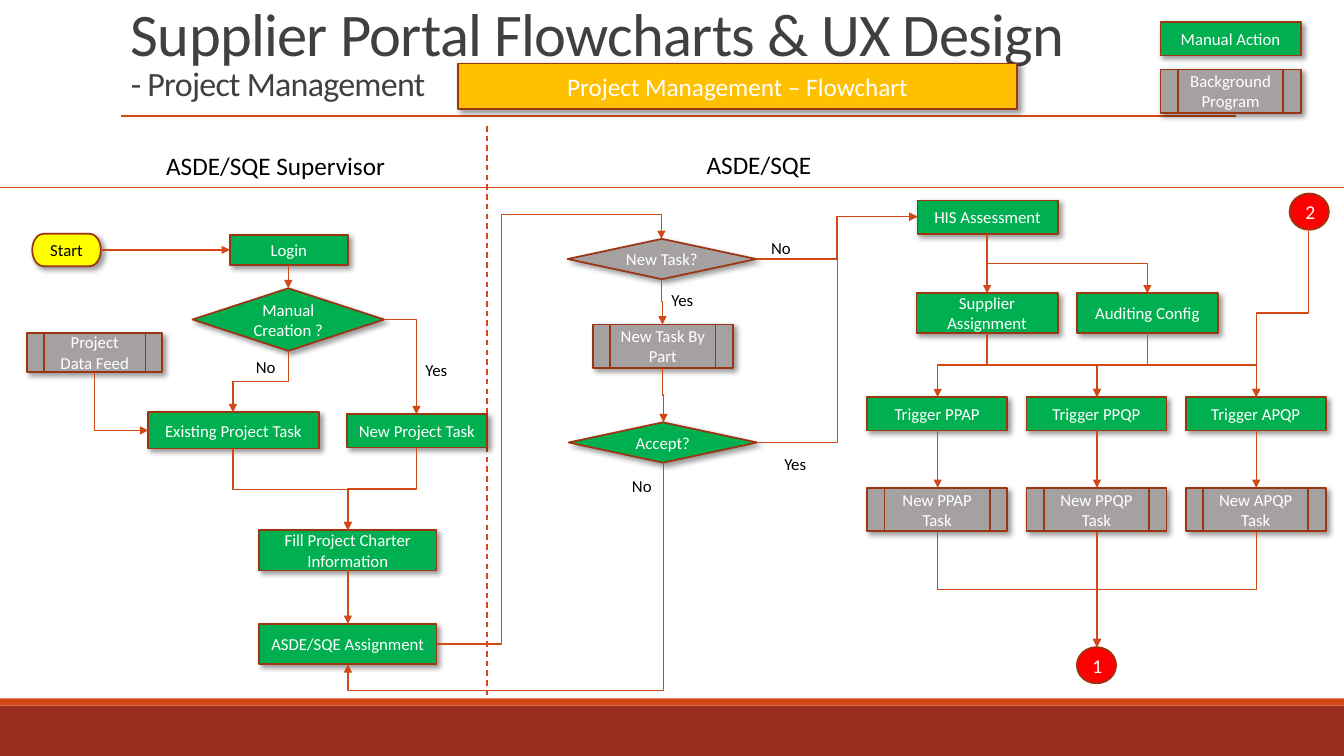
from lxml import etree
from pptx import Presentation
from pptx.dml.color import RGBColor
from pptx.enum.dml import MSO_LINE
from pptx.enum.shapes import MSO_CONNECTOR as LINK, MSO_SHAPE as SHAPE
from pptx.enum.text import MSO_ANCHOR, MSO_AUTO_SIZE, PP_ALIGN
from pptx.oxml.ns import qn
from pptx.util import Inches, Pt

COLORS = {
    "footer": "9B2D1F", "accent": "D34817", "outline": "9C3511",
    "manual": "00B050", "program": "A6A1A1", "banner": "FFC000",
    "start": "FFFF00", "marker": "FF0000", "title": "404040",
    "white": "FFFFFF", "black": "000000",
}
RGB = {name: RGBColor.from_string(value) for name, value in COLORS.items()}
FONT = "Calibri"

prs = Presentation()
prs.slide_width, prs.slide_height = Inches(13.33), Inches(7.5)
s = prs.slides.add_slide(prs.slide_layouts[6])


def add_box(kind, text, x, y, w, h, fill, size=12, color="white", shadow=True):
    sp = s.shapes.add_shape(kind, Inches(x), Inches(y), Inches(w), Inches(h))
    sp.fill.solid()
    sp.fill.fore_color.rgb = RGB[fill]
    sp.line.color.rgb = RGB["outline"]
    sp.line.width = Pt(1.25)
    sp.shadow.inherit = False
    if shadow:
        effects = sp.element.spPr.find(qn("a:effectLst"))
        outer = etree.SubElement(effects, qn("a:outerShdw"), blurRad=str(Pt(4)),
                                 dist=str(Pt(3)), dir="2700000", rotWithShape="0")
        shade = etree.SubElement(outer, qn("a:srgbClr"), val=COLORS["black"])
        etree.SubElement(shade, qn("a:alpha"), val="40000")
    tf = sp.text_frame
    tf.word_wrap = True
    tf.vertical_anchor = MSO_ANCHOR.MIDDLE
    p = tf.paragraphs[0]
    p.text = text
    p.alignment = PP_ALIGN.CENTER
    p.font.name, p.font.size = FONT, Pt(size)
    p.font.color.rgb = RGB[color]


def add_link(x1, y1, x2, y2, kind=LINK.STRAIGHT, down=False, bends=3, adjust=()):
    if down:
        mx, my = (x1 + x2) / 2, (y1 + y2) / 2
        side = 1 if x2 > x1 else -1
        w, h = side * (y2 - y1) / 2, abs(x2 - x1) / 2
        x1, y1, x2, y2 = mx + w, my - h, mx - w, my + h
    c = s.shapes.add_connector(kind, Inches(x1), Inches(y1), Inches(x2), Inches(y2))
    c.line.color.rgb = RGB["accent"]
    c.line.width = Pt(1)
    spPr = c.element.spPr
    if down:
        spPr.find(qn("a:xfrm")).set("rot", "16200000" if side > 0 else "5400000")
    if kind == LINK.ELBOW:
        geom = spPr.find(qn("a:prstGeom"))
        geom.set("prst", f"bentConnector{bends}")
        for i, value in enumerate(adjust, 1):
            etree.SubElement(geom.find(qn("a:avLst")), qn("a:gd"),
                             name=f"adj{i}", fmla=f"val {round(value * 100000)}")
        etree.SubElement(spPr.find(qn("a:ln")), qn("a:tailEnd"), type="triangle")
    etree.SubElement(spPr, qn("a:effectLst"))
    return c


for y, h, fill in [(7, 0.5, "footer"), (6.93, 0.07, "accent")]:
    band = s.shapes.add_shape(SHAPE.RECTANGLE, 0, Inches(y), prs.slide_width, Inches(h))
    band.fill.solid()
    band.fill.fore_color.rgb = RGB[fill]
    band.line.fill.background()
    band.shadow.inherit = False

add_link(1.2, 1.15, 12.26, 1.15)
add_link(0, 1.86, 13.33, 1.86)
add_link(4.83, 1.25, 4.83, 6.95).line.dash_style = MSO_LINE.DASH

title = s.shapes.add_textbox(Inches(1.2), Inches(0.27), Inches(11), Inches(0.81))
tf = title.text_frame
tf.word_wrap = True
tf.vertical_anchor = MSO_ANCHOR.BOTTOM
p = tf.paragraphs[0]
p.line_spacing = 0.85
p.font.name = FONT
p.font.color.rgb = RGB["title"]
for i, (text, size) in enumerate([("Supplier Portal Flowcharts & UX Design", 43.2),
                                  ("- Project Management", 24.3)]):
    if i:
        p.add_line_break()
    r = p.add_run()
    r.text = text
    r.font.size = Pt(size)
    r.font.element.set("spc", "-50") if hasattr(r.font, "element") else r._r.get_or_add_rPr().set("spc", "-50")

add_box(SHAPE.RECTANGLE, "Project Management – Flowchart", 4.54, 0.63, 5.55, 0.45, "banner", 18)
add_box(SHAPE.FLOWCHART_TERMINATOR, "Start", 0.32, 2.32, 0.68, 0.32, "start", color="black")

for text, x, y, w, h in [
    ("Manual Action", 11.51, 0.22, 1.39, 0.33),
    ("Login", 2.28, 2.33, 1.17, 0.3),
    ("New Project Task", 3.44, 4.11, 1.39, 0.33),
    ("Existing Project Task", 1.47, 4.09, 1.69, 0.36),
    ("Fill Project Charter Information", 2.57, 5.26, 1.76, 0.4),
    ("ASDE/SQE Assignment", 2.57, 6.19, 1.76, 0.4),
    ("HIS Assessment", 9.1, 1.99, 1.39, 0.33),
    ("Supplier Assignment", 9.09, 2.91, 1.4, 0.39),
    ("Auditing Config", 10.68, 2.91, 1.4, 0.39),
]:
    add_box(SHAPE.FLOWCHART_PROCESS, text, x, y, w, h, "manual")

for text, x, y, w, h in [
    ("Background Program", 11.51, 0.69, 1.39, 0.43),
    ("Project Data Feed", 0.27, 3.3, 1.34, 0.39),
    ("New Task By Part", 5.88, 3.22, 1.39, 0.43),
]:
    add_box(SHAPE.FLOWCHART_PREDEFINED_PROCESS, text, x, y, w, h, "program")

for text, x, y, w, h, fill in [
    ("Manual Creation ?", 1.91, 2.86, 1.9, 0.62, "manual"),
    ("New Task?", 5.63, 2.37, 1.87, 0.4, "program"),
    ("Accept?", 5.64, 4.19, 1.87, 0.4, "manual"),
]:
    add_box(SHAPE.FLOWCHART_DECISION, text, x, y, w, h, fill)

for text, x, y in [("1", 10.68, 6.42), ("2", 12.79, 1.92)]:
    add_box(SHAPE.OVAL, text, x, y, 0.39, 0.36, "marker", 14, shadow=False)

for i, part in enumerate(["PPAP", "PPQP", "APQP"]):
    x = 8.6 + 1.58 * i
    center = x + 0.7
    add_box(SHAPE.FLOWCHART_PROCESS, f"Trigger {part}", x, 3.94, 1.39, 0.33, "manual")
    add_box(SHAPE.FLOWCHART_PREDEFINED_PROCESS, f"New {part} Task", x, 4.84, 1.39, 0.43, "program")
    for x1, y1, x2, y2 in [(9.79, 3.3, center, 3.94), (center, 4.27, center, 4.84),
                           (center, 5.28, 10.88, 6.42)]:
        add_link(x1, y1, x2, y2, LINK.ELBOW, down=True)

for x1, y1, x2, y2 in [
    (2.86, 2.63, 2.86, 2.86),
    (2.86, 3.48, 2.31, 4.09),
    (4.13, 4.44, 3.45, 5.26),
    (2.31, 4.45, 3.45, 5.26),
    (3.45, 5.66, 3.45, 6.19),
    (6.56, 2.76, 6.57, 3.22),
    (6.57, 3.65, 6.58, 4.19),
    (9.79, 2.32, 9.79, 2.91),
    (9.79, 2.32, 11.38, 2.91),
    (11.38, 3.3, 10.88, 3.94),
    (12.98, 2.27, 12.46, 3.94),
]:
    add_link(x1, y1, x2, y2, LINK.ELBOW, down=True)

for x1, y1, x2, y2 in [(1, 2.48, 2.28, 2.48), (7.5, 2.57, 9.1, 2.15), (7.51, 4.39, 9.1, 2.15)]:
    add_link(x1, y1, x2, y2, LINK.ELBOW)

add_link(0.94, 3.69, 1.47, 4.27, LINK.ELBOW, down=True, bends=2)
add_link(3.81, 3.17, 4.13, 4.11, LINK.ELBOW, bends=2)
add_link(4.33, 6.39, 6.56, 2.37, LINK.ELBOW, bends=4, adjust=(0.29, 1.06))
add_link(6.58, 4.59, 3.45, 6.59, LINK.ELBOW, down=True, adjust=(1.13,))

for text, x, y, w, h, size in [
    ("ASDE/SQE Supervisor", 1.55, 1.44, 2.4, 0.4, 18),
    ("ASDE/SQE", 6.91, 1.43, 1.25, 0.4, 18),
    ("Yes", 4.12, 3.52, 0.42, 0.3, 12),
    ("No", 2.44, 3.49, 0.4, 0.3, 12),
    ("Yes", 6.56, 2.83, 0.42, 0.3, 12),
    ("No", 7.55, 2.31, 0.4, 0.3, 12),
    ("No", 6.17, 4.67, 0.4, 0.3, 12),
    ("Yes", 7.68, 4.45, 0.42, 0.3, 12),
]:
    label = s.shapes.add_textbox(Inches(x), Inches(y), Inches(w), Inches(h))
    tf = label.text_frame
    tf.word_wrap = False
    tf.auto_size = MSO_AUTO_SIZE.SHAPE_TO_FIT_TEXT
    p = tf.paragraphs[0]
    p.text = text
    p.font.name, p.font.size = FONT, Pt(size)
    p.font.color.rgb = RGB["black"]

prs.save("out.pptx")
